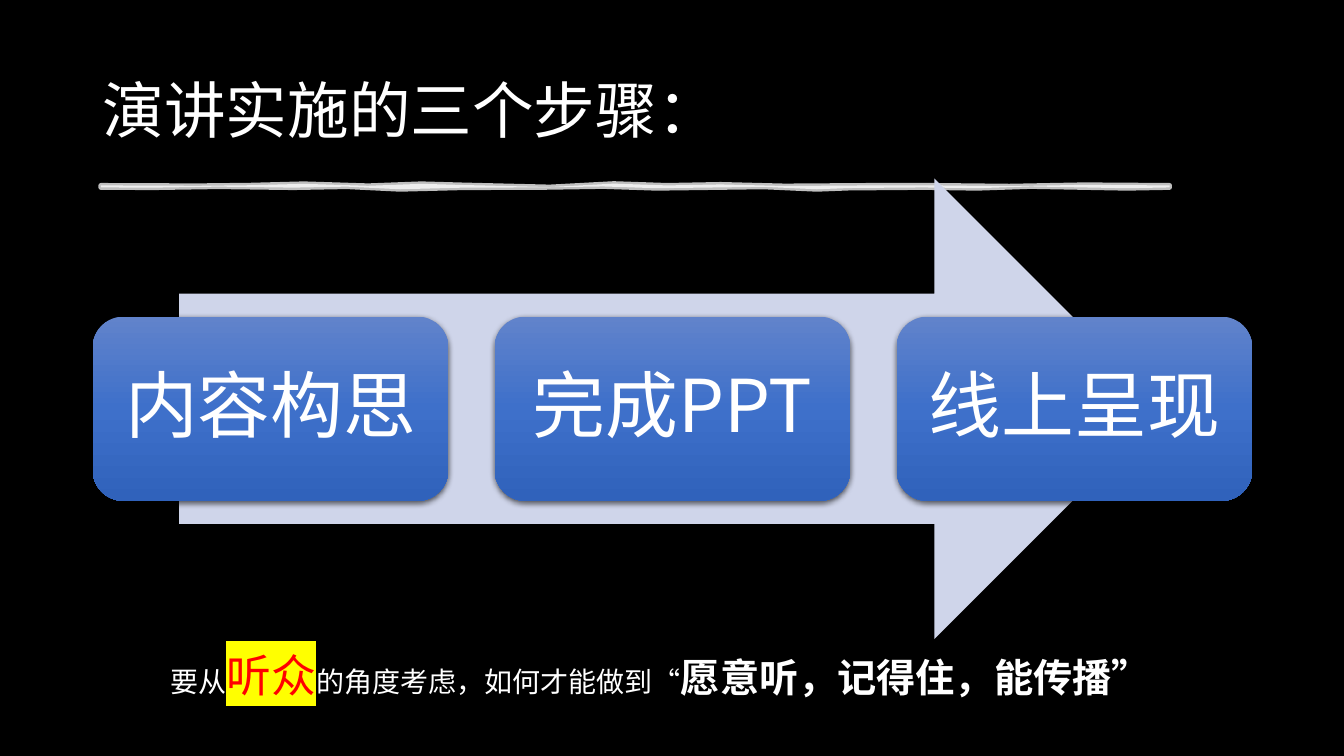
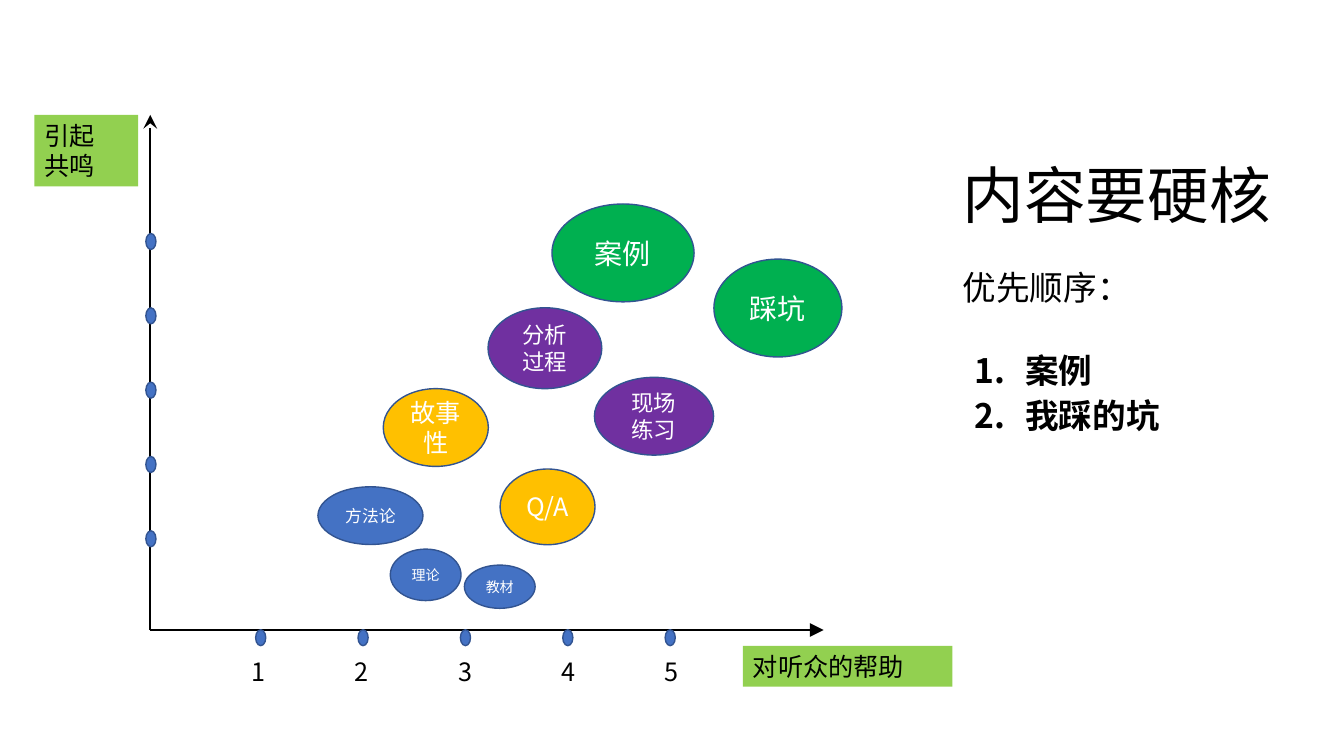
from lxml.etree import SubElement
from pptx import Presentation
from pptx.dml.color import RGBColor
from pptx.enum.shapes import MSO_CONNECTOR, MSO_SHAPE
from pptx.enum.text import MSO_ANCHOR, PP_ALIGN
from pptx.oxml import parse_xml
from pptx.oxml.ns import nsdecls, qn
from pptx.util import Inches, Pt

FONT = "Noto Sans CJK SC"
BLACK, WHITE, BLUE, EDGE = "000000", "FFFFFF", "4472C4", "325491"
LIME, GREEN, PURPLE, GOLD = "92D050", "00B050", "7030A0", "FFC000"
PALE, RED, YELLOW = "CFD5EA", "FF0000", "FFFF00"
GRADE = [(0, "6183CB"), (50, "3E70CA"), (100, "3062BB")]
WIDE, HIGH = 13.33, 7.5
# Chalk rule: share of its width, share of its height, once around
CHALK = [(0, 0), (9, 20), (14, -10), (19, -80), (25, 20), (30, -80),
         (34, -20), (42, 80), (48, -90), (53, 0), (58, -50), (64, 30),
         (72, 0), (78, 0), (85, 40), (92, -30), (100, 0),
         (100, 100), (96, 140), (92, 100), (87, 50), (82, 140), (77, 100),
         (70, 130), (67, 190), (62, 70), (52, 140), (47, 50), (41, 100),
         (34, 110), (28, 190), (23, 60), (18, 110), (11, 60), (5, 110),
         (0, 100)]


def rgb(tone):
    return RGBColor.from_string(tone)


def inches(box):
    return [Inches(n) for n in box]


def share(box, x, y, w, h):
    """Box whose place and size are percentages of another box."""
    left, top, wide, high = box
    return (left + wide * x / 100, top + high * y / 100,
            wide * w / 100, high * h / 100)


def around(box, x, y, w, h):
    """Like share, with x and y as the centre."""
    return share(box, x - w / 2, y - h / 2, w, h)


def style(run, size, tone, bold=False, mark=None):
    font = run.font
    font.size, font.bold, font.name = Pt(size), bold, FONT
    font.color.rgb = rgb(tone)
    props = font._element
    SubElement(props, qn("a:ea")).set("typeface", FONT)
    if mark:
        light = parse_xml(f'<a:highlight {nsdecls("a")}>'
                          f'<a:srgbClr val="{mark}"/></a:highlight>')
        props.find(qn("a:solidFill")).addnext(light)


def write(shape, lines, size, tone, anchor=MSO_ANCHOR.TOP,
          align=PP_ALIGN.LEFT, spacing=None):
    frame = shape.text_frame
    frame.word_wrap, frame.vertical_anchor = True, anchor
    frame.text = lines
    for para in frame.paragraphs:
        para.alignment, para.line_spacing = align, spacing
        for run in para.runs:
            style(run, size, tone)
    return frame


def text(slide, box, *args, **more):
    return write(slide.shapes.add_textbox(*inches(box)), *args, **more)


def title(slide, box, words, tone, anchor):
    text(slide, box, words, 44, tone, anchor, spacing=0.9)


def paint(form, fill):
    form.shadow.inherit = False
    form.fill.solid()
    form.fill.fore_color.rgb = rgb(fill)


def shape(slide, kind, box, fill, edge=None):
    form = slide.shapes.add_shape(kind, *inches(box))
    paint(form, fill)
    if edge:
        form.line.color.rgb, form.line.width = rgb(edge), Pt(1)
    else:
        form.line.fill.background()
    return form


def brush(slide, box):
    """Rough chalk rule, three quarters opaque."""
    points = [inches(share(box, x, y, 0, 0)[:2]) for x, y in CHALK]
    pen = slide.shapes.build_freeform(*points[0])
    pen.add_line_segments(points[1:], close=True)
    form = pen.convert_to_shape()
    paint(form, WHITE)
    form.line.color.rgb, form.line.width = rgb(WHITE), Pt(3.5)
    for tint in form._element.spPr.iter(qn("a:srgbClr")):
        SubElement(tint, qn("a:alpha")).set("val", "75000")


def gloss(form):
    """Give a card its vertical gradient and soft shadow."""
    stops = "".join(f'<a:gs pos="{at * 1000}"><a:srgbClr val="{tone}"/></a:gs>'
                    for at, tone in GRADE)
    props = form._element.spPr
    props.replace(props.find(qn("a:solidFill")), parse_xml(
        f'<a:gradFill {nsdecls("a")} rotWithShape="1"><a:gsLst>{stops}</a:gsLst>'
        '<a:lin ang="5400000" scaled="0"/></a:gradFill>'))
    props.find(qn("a:effectLst")).append(parse_xml(
        f'<a:outerShdw {nsdecls("a")} blurRad="57150" dist="19050" dir="5400000"'
        ' algn="ctr" rotWithShape="0"><a:srgbClr val="000000">'
        '<a:alpha val="63000"/></a:srgbClr></a:outerShdw>'))


def process(slide, box, steps):
    left, top, wide, high = box
    shape(slide, MSO_SHAPE.RIGHT_ARROW, share(box, 7.45, 0, 85, 100), PALE)
    gap = wide * 0.04
    span = (wide - gap * (len(steps) - 1)) / len(steps)
    for i, step in enumerate(steps):
        card = shape(slide, MSO_SHAPE.ROUNDED_RECTANGLE,
                     (left + i * (span + gap), top + high * 0.3, span,
                      high * 0.4), BLUE)
        gloss(card)
        frame = write(card, step, 52, WHITE, MSO_ANCHOR.MIDDLE,
                      PP_ALIGN.CENTER, 0.9)
        frame.margin_left = frame.margin_right = Inches(0.22)
        frame.margin_top = frame.margin_bottom = Inches(0.22)


def motto(slide, box, parts):
    para = text(slide, box, "", 20, WHITE).paragraphs[0]
    for words, *look in parts:
        run = para.add_run()
        run.text = words
        style(run, *look)


def axis(slide, start, end, head):
    line = slide.shapes.add_connector(MSO_CONNECTOR.STRAIGHT,
                                      *inches(start + end))
    line.line.color.rgb, line.line.width = rgb(BLACK), Pt(1.5)
    SubElement(line.line._ln, qn("a:tailEnd"), type=head, w="lg", len="lg")
    SubElement(line._element.spPr, qn("a:effectLst"))


def bubbles(slide, box, items):
    """Axes, ticks and bubbles; items hold centre and size in percent."""
    left, top, wide, high = box
    base = (left, top + high)
    axis(slide, base, (left + wide, top + high), "triangle")
    axis(slide, base, (left, top), "stealth")
    for i in range(5):
        for x, y in ((16.4 + 15.2 * i, 101.5), (0.1, 82.3 - 14.43 * i)):
            shape(slide, MSO_SHAPE.OVAL, around(box, x, y, 1.5, 3.1),
                  BLUE, EDGE)
        text(slide, around(box, 16.4 + 15.35 * i, 108, 5.7, 7.8),
             str(i + 1), 18, BLACK)
    for words, size, fill, *spot in items:
        ball = shape(slide, MSO_SHAPE.OVAL, around(box, *spot), fill, EDGE)
        write(ball, words, size, WHITE, MSO_ANCHOR.MIDDLE, PP_ALIGN.CENTER)
    for words, spot in (("对听众的帮助", (88, 103.1, 31.1, 7.9)),
                        ("引起\n共鸣", (-17.2, 0, 15.4, 13.9))):
        tag = shape(slide, MSO_SHAPE.RECTANGLE, share(box, *spot), LIME)
        write(tag, words, 18, BLACK)


def ranking(slide, box, lead, items):
    frame = text(slide, box, "\n".join([lead] + items), 24, BLACK, spacing=0.9)
    first, *rest = frame.paragraphs
    first.space_after = Pt(34)
    for para in rest:
        para.space_after = Pt(6)
        props = para._p.get_or_add_pPr()
        props.set("marL", str(Inches(0.62)))
        props.set("indent", str(-Inches(0.5)))
        SubElement(props, qn("a:buFont")).set("typeface", "+mj-lt")
        SubElement(props, qn("a:buAutoNum")).set("type", "arabicPeriod")
        para.runs[0].font.bold = True


def page(deck, tone):
    slide = deck.slides.add_slide(deck.slide_layouts[6])
    slide.background.fill.solid()
    slide.background.fill.fore_color.rgb = rgb(tone)
    return slide


def steps(deck):
    slide = page(deck, BLACK)
    title(slide, (0.92, 0.4, 11.5, 1.45), "演讲实施的三个步骤：", WHITE,
          MSO_ANCHOR.MIDDLE)
    brush(slide, (1, 1.84, 10.6, 0.02))
    motto(slide, (1.59, 6.38, 10.66, 0.64), [
        ("要从", 20, WHITE),
        ("听众", 32, RED, False, YELLOW),
        ("的角度考虑，如何才能做到“", 20, WHITE),
        ("愿意听，记得住，能传播”", 28, WHITE, True)])
    process(slide, (0.92, 1.77, 11.5, 4.57), ["内容构思", "完成PPT", "线上呈现"])


def content(deck):
    slide = page(deck, WHITE)
    title(slide, (9.45, 0.54, 3.38, 1.81), "内容要硬核", BLACK,
          MSO_ANCHOR.BOTTOM)
    ranking(slide, (9.45, 2.64, 3.22, 3.87), "优先顺序：", ["案例", "我踩的坑"])
    bubbles(slide, (1.49, 1.14, 6.68, 5.11), [
        ("案例", 20, GREEN, 70.2, 26.8, 21.1, 19),
        ("踩坑", 20, GREEN, 93.2, 37.5, 19, 19),
        ("分析过程", 16, PURPLE, 58.6, 45.3, 16.9, 15.7),
        ("现场练习", 16, PURPLE, 74.8, 58.5, 17.7, 15.1),
        ("故事性", 18, GOLD, 42.4, 60.7, 15.6, 15.1),
        ("Q/A", 18, GOLD, 59, 76.1, 14.1, 14.7),
        ("方法论", 12, BLUE, 32.7, 77.8, 15.6, 11.2),
        ("理论", 10, BLUE, 40.9, 89.3, 10.5, 10),
        ("教材", 10, BLUE, 51.9, 91.6, 10.5, 8.4)])


def main():
    deck = Presentation()
    deck.slide_width, deck.slide_height = Inches(WIDE), Inches(HIGH)
    steps(deck)
    content(deck)
    deck.save("out.pptx")


if __name__ == "__main__":
    main()
